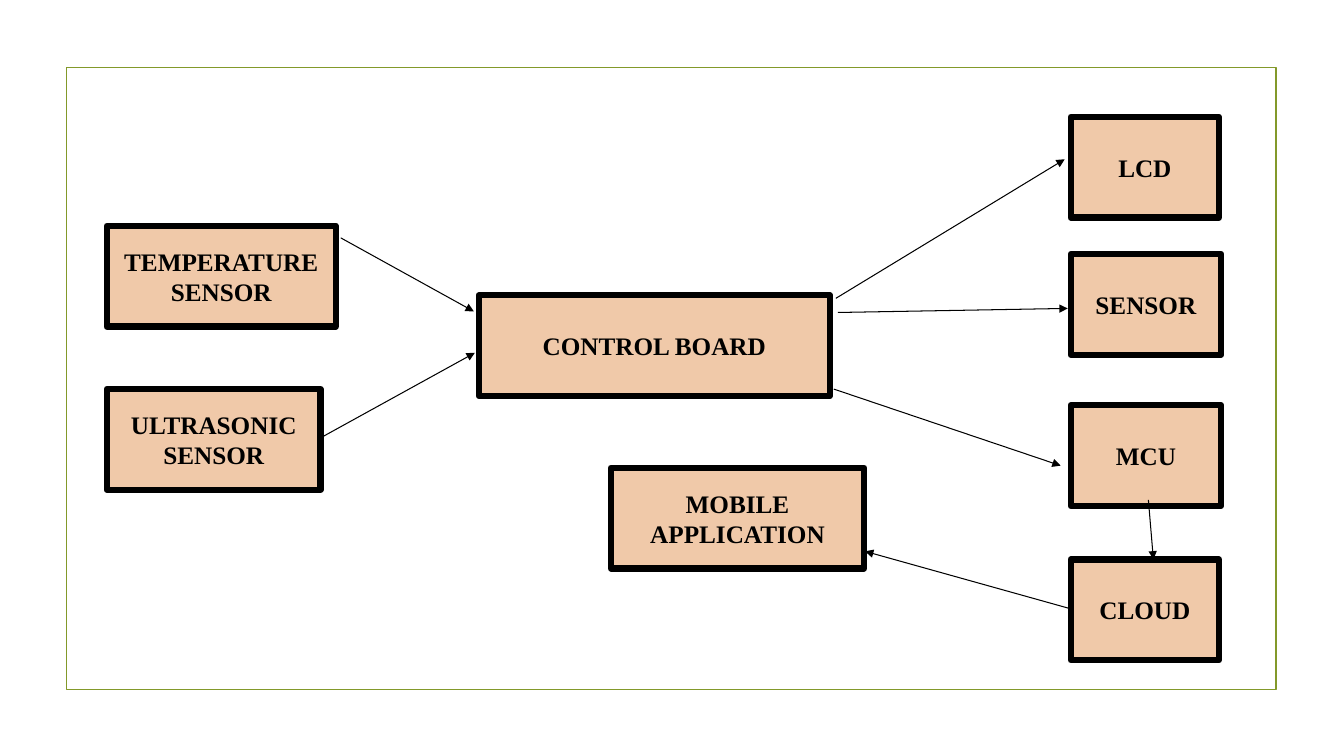
from lxml import etree
from pptx import Presentation
from pptx.dml.color import RGBColor
from pptx.enum.shapes import MSO_CONNECTOR as Connector, MSO_SHAPE as Shape
from pptx.enum.text import MSO_ANCHOR as Anchor, PP_ALIGN as Align
from pptx.oxml.ns import qn
from pptx.util import Inches, Pt

OLIVE = RGBColor(0x83, 0x99, 0x2A)
PEACH = RGBColor(0xF0, 0xC9, 0xA9)
BLACK = RGBColor(0, 0, 0)

FONT = "Times New Roman"
BLOCK_HEIGHT = 1
INPUT_LEFT, OUTPUT_LEFT = 0.4, 9.96

# Label, left, top and width, in inches from the frame's corner
BLOCKS = [
    ("TEMPERATURE SENSOR", INPUT_LEFT, 1.57, 2.27),
    ("ULTRASONIC SENSOR", INPUT_LEFT, 3.19, 2.12),
    ("CONTROL BOARD", 4.09, 2.26, 3.48),
    ("MOBILE APPLICATION", 5.4, 3.97, 2.51),
    ("LCD", OUTPUT_LEFT, 0.49, 1.47),
    ("SENSOR", OUTPUT_LEFT, 1.85, 1.49),
    ("MCU", OUTPUT_LEFT, 3.35, 1.49),
    ("CLOUD", OUTPUT_LEFT, 4.88, 1.47),
]

# Start and end points, in inches from the frame's corner
ARROWS = [
    ((2.72, 1.69), (4.04, 2.42)),    # temperature to board
    ((2.49, 3.69), (4.05, 2.83)),    # ultrasonic to board
    ((7.63, 2.29), (9.9, 0.91)),     # board to LCD
    ((7.65, 2.43), (9.93, 2.39)),    # board to sensor
    ((7.61, 3.19), (9.86, 3.95)),    # board to MCU
    ((9.96, 5.37), (7.92, 4.8)),     # cloud to mobile application
    ((10.73, 4.29), (10.78, 4.88)),  # MCU to cloud
]


def add_rectangle(slide, left, top, width, height, line_color, line_width):
    rectangle = slide.shapes.add_shape(
        Shape.RECTANGLE, Inches(left), Inches(top), Inches(width), Inches(height))
    rectangle.shadow.inherit = False
    rectangle.fill.background()
    rectangle.line.color.rgb = line_color
    rectangle.line.width = Pt(line_width)
    return rectangle


def add_block(slide, label, left, top, width):
    block = add_rectangle(slide, left, top, width, BLOCK_HEIGHT, BLACK, 4.5)
    block.fill.solid()
    block.fill.fore_color.rgb = PEACH
    block.text_frame.word_wrap = True
    block.text_frame.vertical_anchor = Anchor.MIDDLE
    paragraph = block.text_frame.paragraphs[0]
    paragraph.text = label
    paragraph.alignment = Align.CENTER
    paragraph.font.name = FONT
    paragraph.font.size = Pt(18)
    paragraph.font.bold = True
    paragraph.font.color.rgb = BLACK


def add_arrow(slide, start_x, start_y, end_x, end_y):
    arrow = slide.shapes.add_connector(
        Connector.STRAIGHT, Inches(start_x), Inches(start_y),
        Inches(end_x), Inches(end_y))
    arrow.line.color.rgb = BLACK
    arrow.line.width = Pt(0.75)
    outline = arrow.line._get_or_add_ln()
    etree.SubElement(outline, qn("a:tailEnd"), type="triangle")
    etree.SubElement(arrow._element.spPr, qn("a:effectLst"))


def add_block_diagram(slide, left, top, width, height):
    """Draw the frame, and the blocks and arrows measured from its corner."""
    add_rectangle(slide, left, top, width, height, OLIVE, 1.25)
    for label, block_x, block_y, block_width in BLOCKS:
        add_block(slide, label, left + block_x, top + block_y, block_width)
    for (start_x, start_y), (end_x, end_y) in ARROWS:
        add_arrow(slide, left + start_x, top + start_y, left + end_x, top + end_y)


def main():
    presentation = Presentation()
    presentation.slide_width = Inches(13.33)
    presentation.slide_height = Inches(7.5)
    blank_layout = presentation.slide_layouts[6]
    slide = presentation.slides.add_slide(blank_layout)
    add_block_diagram(slide, 0.66, 0.67, 12, 6.17)
    presentation.save("out.pptx")


if __name__ == "__main__":
    main()
